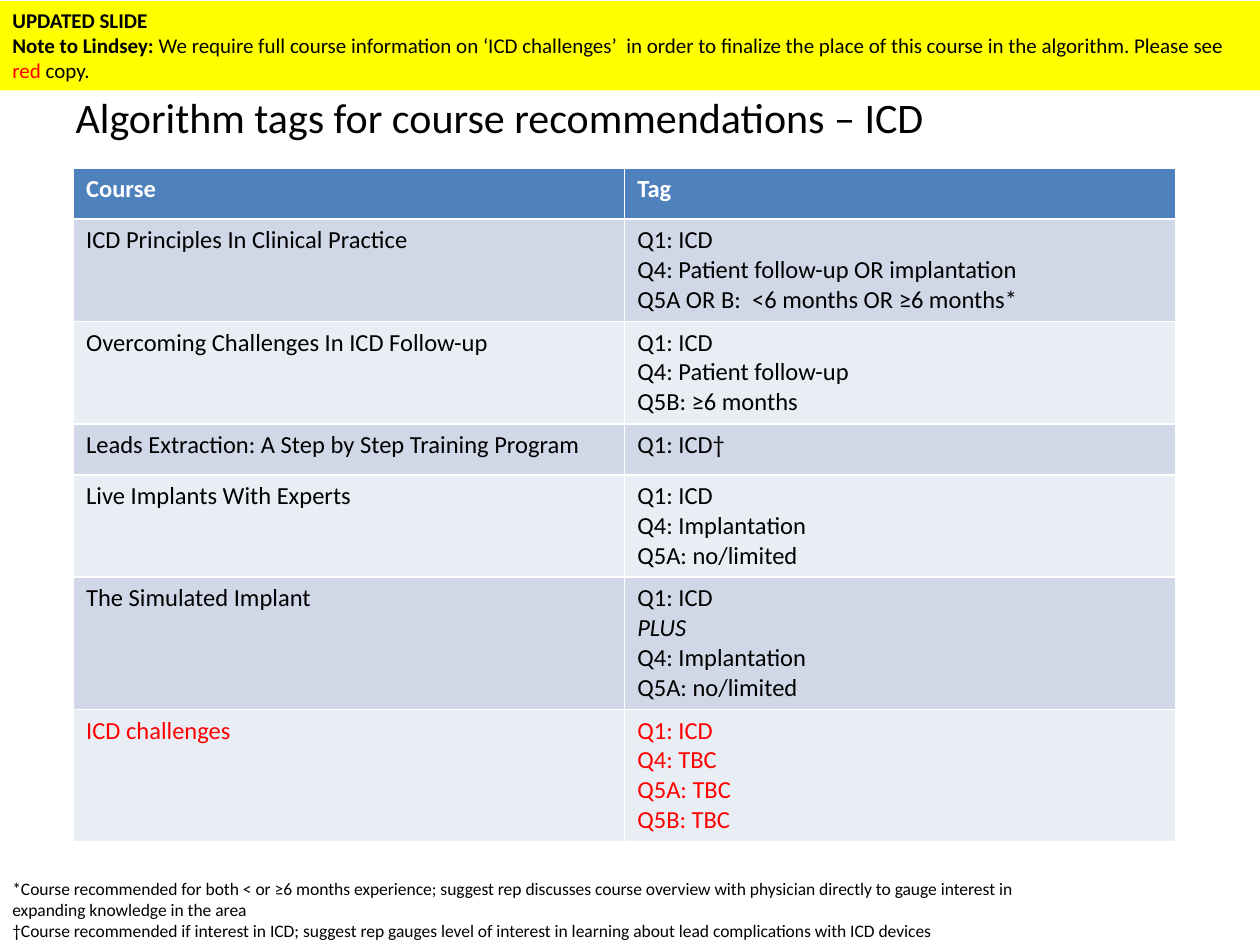
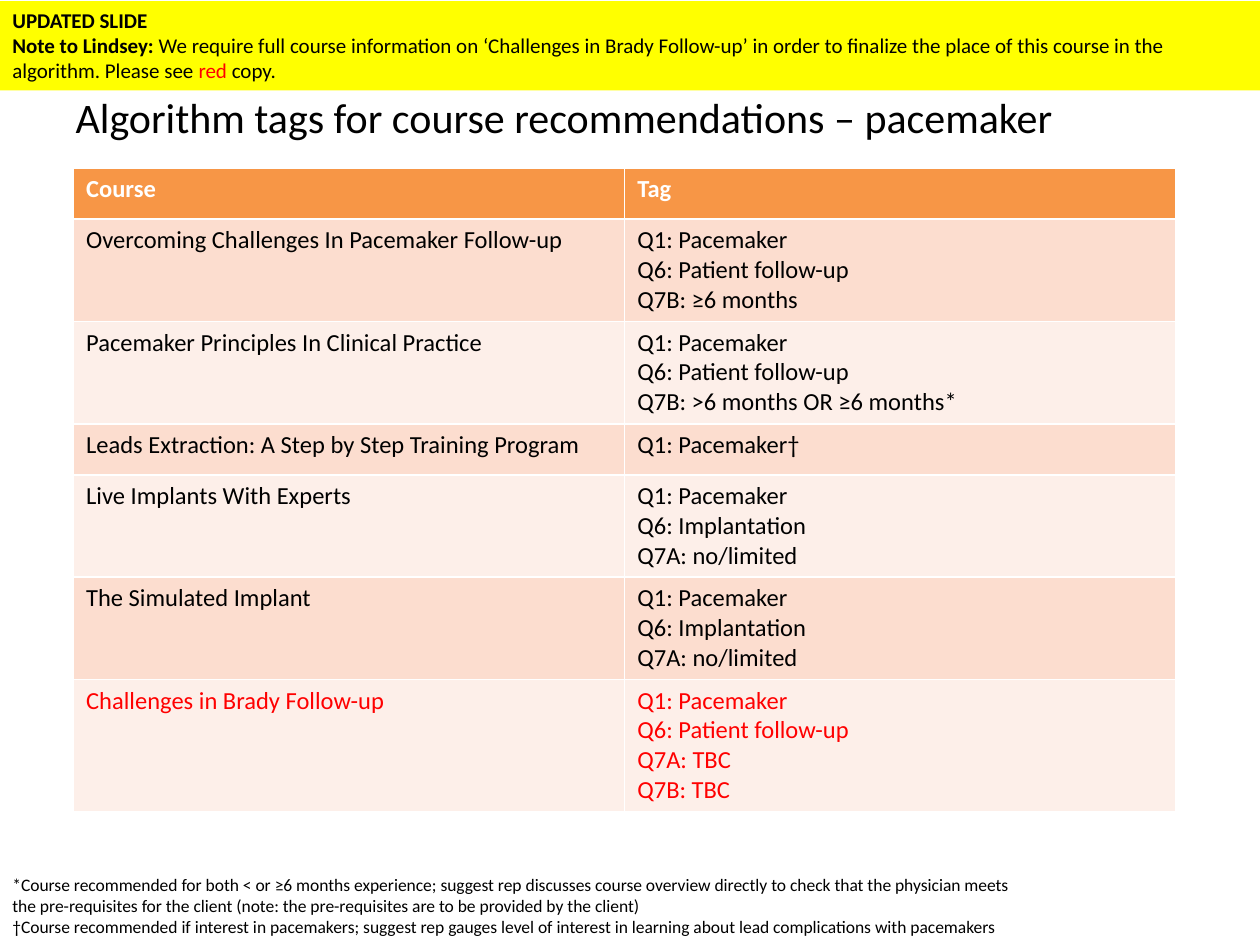
from dataclasses import dataclass

from pptx import Presentation
from pptx.dml.color import RGBColor
from pptx.enum.shapes import MSO_SHAPE as Shape
from pptx.enum.text import MSO_ANCHOR as Anchor, PP_ALIGN as Align
from pptx.util import Pt

FONT = "Calibri"
COLORS = {
    "text": "000000", "header_text": "FFFFFF", "pending": "FF0000", "banner": "FFFF00",
    "icd_header": "4F81BD", "icd_dark": "D0D8E8", "icd_light": "E9EDF4",
    "pacemaker_header": "F79646", "pacemaker_dark": "FCDDCF", "pacemaker_light": "FDEFE9",
}
SLIDE_WIDTH, SLIDE_HEIGHT = 720, 540
TABLE_LEFT, TABLE_TOP, COLUMN_WIDTH = 42, 96, 315
MIN_ROW_HEIGHT, LINE_HEIGHT, CELL_PADDING = 29.2, 17.1, 7.2


@dataclass
class Course:
    name: str
    tags: list[str]
    pending: bool = False


@dataclass
class TagSlide:
    topic: str
    palette: str
    request: str
    courses: list[Course]
    footnotes: list[str]
    footnote_top: float
    footnote_width: float


def color(name: str) -> RGBColor:
    return RGBColor.from_string(COLORS[name])


def style_font(font, size: float, color_name: str = "text", bold: bool = False) -> None:
    font.name, font.size, font.bold = FONT, Pt(size), bold
    font.color.rgb = color(color_name)


def write_lines(frame, lines: list[str], size: float, color_name: str = "text",
                bold: bool = False) -> None:
    frame.text = "\n".join(lines)
    for paragraph in frame.paragraphs:
        style_font(paragraph.font, size, color_name, bold)
        paragraph.font.italic = paragraph.text == "PLUS"


def add_title(slide, topic: str) -> None:
    title = slide.shapes.title
    title.left, title.top, title.width, title.height = Pt(36), Pt(21.6), Pt(648), Pt(90)
    write_lines(title.text_frame, [f"Algorithm tags for course recommendations – {topic}"], 24)
    title.text_frame.vertical_anchor = Anchor.MIDDLE
    title.text_frame.paragraphs[0].alignment = Align.LEFT


def add_course_table(slide, courses: list[Course], palette: str) -> None:
    heights = [MIN_ROW_HEIGHT] + [
        max(MIN_ROW_HEIGHT, CELL_PADDING + LINE_HEIGHT * len(course.tags)) for course in courses]
    table = slide.shapes.add_table(len(heights), 2, Pt(TABLE_LEFT), Pt(TABLE_TOP),
                                   Pt(2 * COLUMN_WIDTH), Pt(sum(heights))).table
    for column in table.columns:
        column.width = Pt(COLUMN_WIDTH)
    rows = [Course("Course", ["Tag"]), *courses]
    for index, (course, height) in enumerate(zip(rows, heights)):
        table.rows[index].height = Pt(height)
        is_header = index == 0
        shade = "header" if is_header else ("light", "dark")[index % 2]
        ink = "header_text" if is_header else "pending" if course.pending else "text"
        for cell, lines in zip(table.rows[index].cells, ([course.name], course.tags)):
            cell.fill.solid()
            cell.fill.fore_color.rgb = color(f"{palette}_{shade}")
            write_lines(cell.text_frame, lines, 14, ink, is_header)


def add_footnotes(slide, footnotes: list[str], top: float, width: float) -> None:
    frame = slide.shapes.add_textbox(0, Pt(top), Pt(width), Pt(44)).text_frame
    frame.word_wrap = True
    write_lines(frame, footnotes, 10)


def add_banner(slide, request: str) -> None:
    banner = slide.shapes.add_shape(Shape.RECTANGLE, 0, Pt(0.7), Pt(SLIDE_WIDTH), Pt(51))
    banner.shadow.inherit = False
    banner.fill.solid()
    banner.fill.fore_color.rgb = color("banner")
    banner.line.fill.background()
    frame = banner.text_frame
    frame.word_wrap = True
    frame.vertical_anchor = Anchor.TOP
    write_lines(frame, ["UPDATED SLIDE"], 12, bold=True)
    note = frame.add_paragraph()
    for text, ink, bold in (("Note to Lindsey: ", "text", True),
                            (f"We require full course information on {request} in order to "
                             "finalize the place of this course in the algorithm. Please see ",
                             "text", False),
                            ("red ", "pending", False),
                            ("copy.", "text", False)):
        run = note.add_run()
        run.text = text
        style_font(run.font, 12, ink, bold)
    for paragraph in frame.paragraphs:
        paragraph.alignment = Align.LEFT


LEADS = "Leads Extraction: A Step by Step Training Program"
LIVE = "Live Implants With Experts"
SIMULATED = "The Simulated Implant"
SHARED_NOTE = "*Course recommended for both < or ≥6 months experience; suggest rep discusses course overview "
TAG_SLIDES = [
    TagSlide(
        "ICD", "icd", "‘ICD challenges’ ",
        [
            Course("ICD Principles In Clinical Practice",
                   ["Q1: ICD", "Q4: Patient follow-up OR implantation",
                    "Q5A OR B:  <6 months OR ≥6 months*"]),
            Course("Overcoming Challenges In ICD Follow-up",
                   ["Q1: ICD", "Q4: Patient follow-up", "Q5B: ≥6 months"]),
            Course(LEADS, ["Q1: ICD†"]),
            Course(LIVE, ["Q1: ICD", "Q4: Implantation", "Q5A: no/limited"]),
            Course(SIMULATED, ["Q1: ICD", "PLUS", "Q4: Implantation", "Q5A: no/limited"]),
            Course("ICD challenges", ["Q1: ICD", "Q4: TBC", "Q5A: TBC", "Q5B: TBC"], True),
        ],
        [SHARED_NOTE + "with physician directly to gauge interest in expanding knowledge in the area",
         "†Course recommended if interest in ICD; suggest rep gauges level of interest "
         "in learning about lead complications with ICD devices"],
        498, 618),
    TagSlide(
        "pacemaker", "pacemaker", "‘Challenges in Brady Follow-up’",
        [
            Course("Overcoming Challenges In Pacemaker Follow-up",
                   ["Q1: Pacemaker", "Q6: Patient follow-up", "Q7B: ≥6 months"]),
            Course("Pacemaker Principles In Clinical Practice",
                   ["Q1: Pacemaker", "Q6: Patient follow-up", "Q7B: >6 months OR ≥6 months*"]),
            Course(LEADS, ["Q1: Pacemaker†"]),
            Course(LIVE, ["Q1: Pacemaker", "Q6: Implantation", "Q7A: no/limited"]),
            Course(SIMULATED, ["Q1: Pacemaker", "Q6: Implantation", "Q7A: no/limited"]),
            Course("Challenges in Brady Follow-up",
                   ["Q1: Pacemaker", "Q6: Patient follow-up", "Q7A: TBC", "Q7B: TBC"], True),
        ],
        [SHARED_NOTE + "directly to check that the physician meets the pre-requisites for the client "
         "(note: the pre-requisites are to be provided by the client)",
         "†Course recommended if interest in pacemakers; suggest rep gauges level of interest "
         "in learning about lead complications with pacemakers"],
        496, 594),
]

# Build the deck
deck = Presentation()
deck.slide_width, deck.slide_height = Pt(SLIDE_WIDTH), Pt(SLIDE_HEIGHT)
title_only = deck.slide_layouts[5]
for content in TAG_SLIDES:
    page = deck.slides.add_slide(title_only)
    add_title(page, content.topic)
    add_course_table(page, content.courses, content.palette)
    add_footnotes(page, content.footnotes, content.footnote_top, content.footnote_width)
    add_banner(page, content.request)
deck.save("out.pptx")
